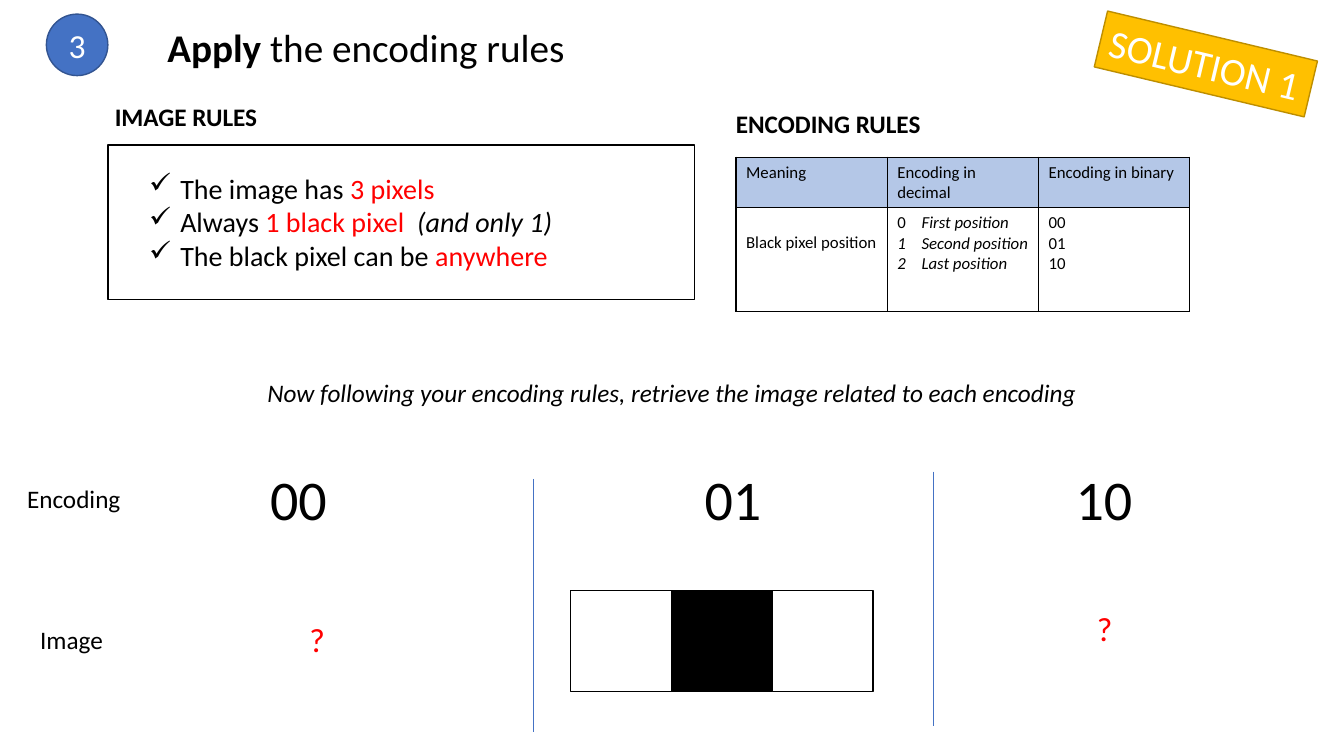
from dataclasses import dataclass

from lxml.etree import SubElement
from pptx import Presentation
from pptx.dml.color import RGBColor
from pptx.enum.shapes import MSO_CONNECTOR as Connector, MSO_SHAPE as Shape
from pptx.enum.text import MSO_ANCHOR as Anchor, MSO_AUTO_SIZE as AutoSize, PP_ALIGN as Align
from pptx.oxml.ns import qn
from pptx.util import Inches, Pt


@dataclass(frozen=True)
class Theme:
    font: str = "Calibri"
    black: str = "000000"
    white: str = "FFFFFF"
    red: str = "FF0000"
    blue: str = "4472C4"
    blue_edge: str = "325491"
    header: str = "B4C7E7"
    gold: str = "FFC000"
    gold_edge: str = "BD8E00"
    small: int = 12
    label: int = 18
    rule: int = 20
    large: int = 24
    title: int = 28
    code: int = 40


THEME = Theme()


@dataclass(frozen=True)
class Span:
    text: str
    color: str = THEME.black
    bold: bool = False
    italic: bool = False


@dataclass(frozen=True)
class Label:
    span: Span
    size: int
    left: float
    top: float
    width: float
    height: float
    wrap: bool = False
    align: Align = Align.LEFT


@dataclass(frozen=True)
class Block:
    kind: Shape
    left: float
    top: float
    width: float
    height: float
    fill: str | None
    line: str


def rgb(color: str) -> RGBColor:
    return RGBColor.from_string(color)


def write(para, spans: list[Span], size: int, align: Align = Align.LEFT) -> None:
    para.alignment = align
    for span in spans:
        run = para.add_run()
        run.text = span.text
        formats = {"name": THEME.font, "size": Pt(size), "bold": span.bold, "italic": span.italic}
        for name, value in formats.items():
            setattr(run.font, name, value)
        run.font.color.rgb = rgb(span.color)


def write_lines(frame, lines: list[list[Span]], size: int) -> None:
    for index, spans in enumerate(lines):
        write(frame.add_paragraph() if index else frame.paragraphs[0], spans, size)


def hang(para, indent: float) -> None:
    props = para._p.get_or_add_pPr()
    props.set("marL", str(Inches(indent)))
    props.set("indent", str(-Inches(indent)))


def add_label(page, label: Label) -> None:
    box = page.shapes.add_textbox(*map(Inches, (label.left, label.top, label.width, label.height)))
    box.text_frame.word_wrap = label.wrap
    box.text_frame.auto_size = AutoSize.SHAPE_TO_FIT_TEXT
    write(box.text_frame.paragraphs[0], [label.span], label.size, label.align)


def add_block(page, block: Block):
    shape = page.shapes.add_shape(
        block.kind, *map(Inches, (block.left, block.top, block.width, block.height)))
    shape.shadow.inherit = False
    if block.fill:
        shape.fill.solid()
        shape.fill.fore_color.rgb = rgb(block.fill)
    else:
        shape.fill.background()
    shape.line.color.rgb = rgb(block.line)
    shape.line.width = Pt(1)
    return shape


def add_divider(page, x: float, top: float, bottom: float) -> None:
    line = page.shapes.add_connector(Connector.STRAIGHT, *map(Inches, (x, top, x, bottom)))
    line.line.color.rgb = rgb(THEME.blue)
    line.line.width = Pt(0.5)
    SubElement(line._element.spPr, qn("a:effectLst"))


def add_borders(cell) -> None:
    props = cell._tc.get_or_add_tcPr()
    for index, side in enumerate(("lnL", "lnR", "lnT", "lnB")):
        edge = SubElement(props, qn(f"a:{side}"), w=str(Pt(1)))
        SubElement(SubElement(edge, qn("a:solidFill")), qn("a:srgbClr"), val=THEME.black)
        props.insert(index, edge)


def add_encoding_table(page) -> None:
    header = [[[Span(text)]] for text in ("Meaning", "Encoding in decimal", "Encoding in binary")]
    positions = [
        [Span("0\t"), Span("First position", italic=True)],
        [Span("1\tSecond position", italic=True)],
        [Span("2\tLast position", italic=True)],
    ]
    binary = [[Span(code)] for code in ("00", "01", "10")]
    rows = [header, [[[Span("Black pixel position")]], positions, binary]]
    table = page.shapes.add_table(2, 3, *map(Inches, (7.3, 1.56, 4.5, 1.53))).table
    for row, height in zip(table.rows, (0.5, 1.03)):
        row.height = Inches(height)
    for row_index, row in enumerate(rows):
        for column_index, lines in enumerate(row):
            cell = table.cell(row_index, column_index)
            if row_index == 0:
                cell.fill.solid()
                cell.fill.fore_color.rgb = rgb(THEME.header)
            else:
                cell.fill.background()
            add_borders(cell)
            write_lines(cell.text_frame, lines, THEME.small)
    table.cell(1, 0).vertical_anchor = Anchor.TOP
    table.cell(1, 0).margin_top = Inches(0.25)
    for para in table.cell(1, 1).text_frame.paragraphs:
        hang(para, 0.24)


def add_image_rules(page) -> None:
    add_block(page, Block(Shape.RECTANGLE, 1.07, 1.44, 5.82, 1.53, None, THEME.black))
    frame = page.shapes.add_textbox(*map(Inches, (1.38, 1.65, 4.24, 1.11))).text_frame
    frame.word_wrap = False
    frame.auto_size = AutoSize.SHAPE_TO_FIT_TEXT
    rules = [
        [Span("The image has "), Span("3 pixels", THEME.red)],
        [Span("Always "), Span("1 black pixel  ", THEME.red), Span("(and only 1)", italic=True)],
        [Span("The black pixel can be "), Span("anywhere", THEME.red)],
    ]
    write_lines(frame, rules, THEME.rule)
    for para in frame.paragraphs:
        hang(para, 0.31)
        SubElement(para._p.get_or_add_pPr(), qn("a:buChar"), char="✓")


def add_heading(page) -> None:
    # Title
    title = page.shapes.title
    places = {"left": 1.38, "top": 0.18, "width": 4.5, "height": 0.57}
    for name, value in places.items():
        setattr(title, name, Inches(value))
    frame = title.text_frame
    formats = {"word_wrap": True, "auto_size": AutoSize.NONE, "vertical_anchor": Anchor.TOP}
    for name, value in formats.items():
        setattr(frame, name, value)
    write(frame.paragraphs[0], [Span("Apply", bold=True), Span(" the encoding rules")],
          THEME.title, Align.CENTER)
    # Step number
    step = add_block(page, Block(Shape.OVAL, 0.46, 0.14, 0.61, 0.61, THEME.blue, THEME.blue_edge))
    write(step.text_frame.paragraphs[0], [Span("3", THEME.white)], THEME.large, Align.CENTER)
    # Solution sticker
    sticker = add_block(
        page, Block(Shape.RECTANGLE, 10.89, 0.35, 2.14, 0.57, THEME.gold, THEME.gold_edge))
    sticker.rotation = 13.4
    sticker.text_frame.word_wrap = False
    sticker.text_frame.vertical_anchor = Anchor.TOP
    write(sticker.text_frame.paragraphs[0], [Span("SOLUTION 1", THEME.white)], THEME.title)


def main() -> None:
    deck = Presentation()
    deck.slide_width, deck.slide_height = Inches(13.33), Inches(7.5)
    page = deck.slides.add_slide(deck.slide_layouts[5])
    add_heading(page)
    # Rules
    add_image_rules(page)
    add_encoding_table(page)
    # Labels, codes and answers
    task = "Now following your encoding rules, retrieve the image related to each encoding"
    labels = [
        Label(Span("IMAGE RULES", bold=True), THEME.label, 1.04, 0.96, 1.63, 0.4),
        Label(Span("ENCODING RULES", bold=True), THEME.label, 7.2, 1.03, 2.06, 0.4),
        Label(Span(task, italic=True), THEME.label, 1.98, 3.69, 9.37, 0.4, True, Align.CENTER),
        Label(Span("Encoding"), THEME.label, 0.17, 4.75, 1.14, 0.4),
        Label(Span("Image"), THEME.label, 0.3, 6.14, 0.83, 0.4),
    ]
    labels += [Label(Span(code), THEME.code, left, 4.56, 0.77, 0.77)
               for code, left in (("00", 2.58), ("01", 6.89), ("10", 10.57))]
    labels += [Label(Span("?", THEME.red), THEME.large, left, top, 0.36, 0.5)
               for left, top in ((2.97, 6.09), (10.78, 5.98))]
    for label in labels:
        add_label(page, label)
    # Pixels of the solved image
    for index, color in enumerate((THEME.white, THEME.black, THEME.white)):
        add_block(page, Block(Shape.RECTANGLE, 5.66 + index, 5.86, 1, 1, color, THEME.black))
    # Column dividers
    add_divider(page, 5.29, 4.75, 7.26)
    add_divider(page, 9.26, 4.68, 7.2)
    deck.save("out.pptx")


if __name__ == "__main__":
    main()
